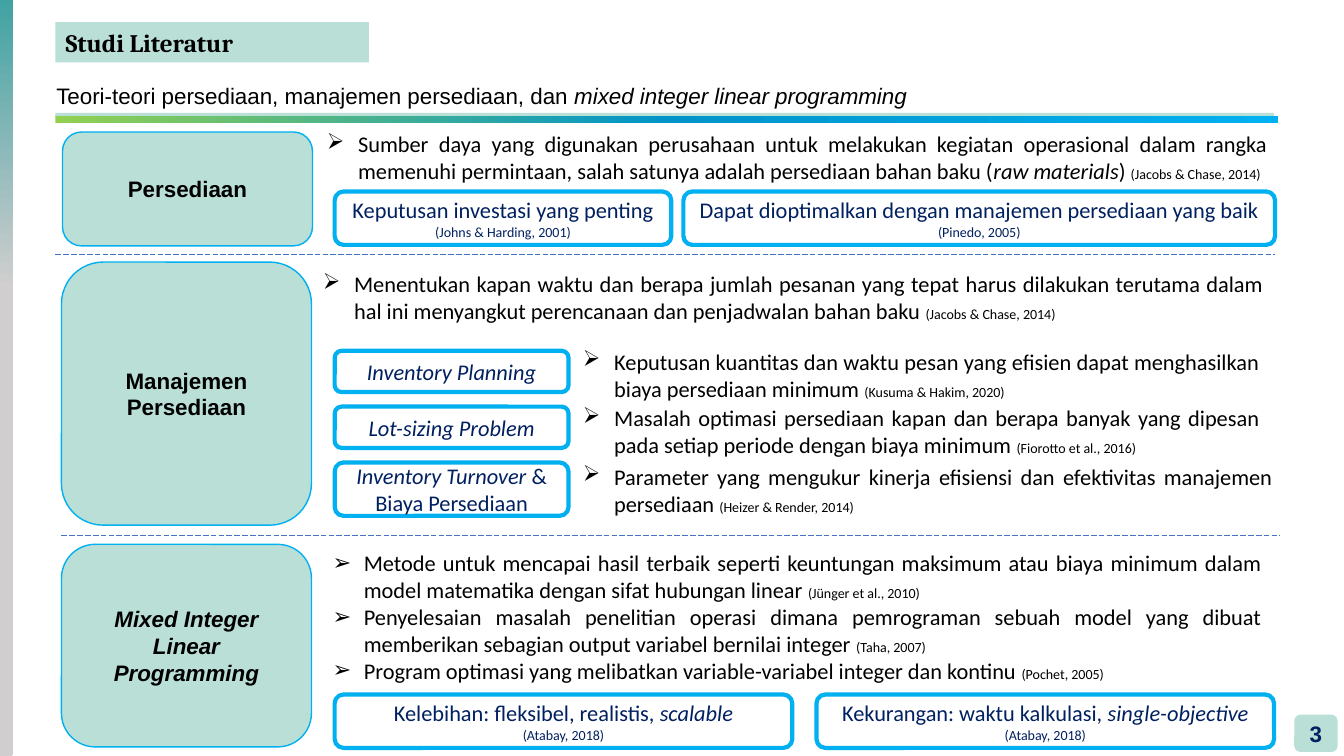
import pptx
import pptx.util
import pptx.dml.color
import pptx.enum.dml
import pptx.enum.shapes
import pptx.enum.text
import pptx.oxml
import pptx.oxml.ns
from dataclasses import dataclass
from lxml import etree

ALIGN = pptx.enum.text.PP_ALIGN
MIDDLE = pptx.enum.text.MSO_ANCHOR.MIDDLE
NS = pptx.oxml.ns.nsdecls("a")

# Grid: cells of a tenth of an inch, 133.33 columns by 75 rows
CELL = pptx.util.Inches(0.1)
COLS, ROWS = 133.33, 75
SIDE = 5.5        # left edge of heading, rule and dividers
PILL = 33.2       # left edge of the outlined pills
GAP = 5.54        # step between topic pills


@dataclass(frozen=True)
class Theme:
    mint: str = "BADFD7"
    sky: str = "00B0F0"
    navy: str = "002060"
    black: str = "000000"
    white: str = "FFFFFF"
    dash: str = "4472C4"
    rule: tuple = ((0, "92D050"), (50, "0094CA"), (100, "00B0F0"))
    edge: tuple = ((0, "40A2A2"), (38, "D0CECE"))
    head: int = 18
    text: int = 16
    cite: int = 10
    serif: str = "Cambria"
    sans: str = "Arial"
    body: str = "Calibri"


T = Theme()


def cells(*nums):
    return [round(n * CELL) for n in nums]


def color(code):
    return pptx.dml.color.RGBColor.from_string(code)


def place(shape, box):
    shape.left, shape.top, shape.width, shape.height = cells(*box)


# Text: a run is (words, marks) with marks i = italic, b = bold, c = citation
def write(para, runs, face, tint, size=T.text):
    for words, marks in runs:
        run = para.add_run()
        run.text = words
        font = run.font
        font.name = face
        font.size = pptx.util.Pt(T.cite if "c" in marks else size)
        font.bold = "b" in marks
        font.italic = "i" in marks
        font.color.rgb = color(tint)


def fill_text(frame, paras, face, tint, align=ALIGN.CENTER):
    frame.word_wrap = True
    frame.vertical_anchor = MIDDLE
    for num, runs in enumerate(paras):
        para = frame.add_paragraph() if num else frame.paragraphs[0]
        para.alignment = align
        write(para, runs, face, tint)


def fill_list(frame, items):
    frame.word_wrap = True
    frame.auto_size = pptx.enum.text.MSO_AUTO_SIZE.NONE
    for num, runs in enumerate(items):
        para = frame.add_paragraph() if num else frame.paragraphs[0]
        props = para._p.get_or_add_pPr()
        props.set("marL", str(round(3.1 * CELL)))
        props.set("indent", str(round(-3.1 * CELL)))
        props.append(pptx.oxml.parse_xml(f'<a:buChar {NS} char="➢"/>'))
        para.alignment = ALIGN.JUSTIFY
        para.space_before = pptx.util.Pt(0)
        write(para, runs, T.body, T.black)


# Shapes
def panel(slide, box, tint, line=None, width=1, kind="ROUNDED_RECTANGLE"):
    shape = slide.shapes.add_shape(
        getattr(pptx.enum.shapes.MSO_SHAPE, kind), *cells(*box))
    shape.shadow.inherit = False
    shape.fill.solid()
    shape.fill.fore_color.rgb = color(tint)
    if line:
        shape.line.color.rgb = color(line)
        shape.line.width = pptx.util.Pt(width)
    else:
        shape.line.fill.background()
    return shape


def blend(slide, box, stops, angle, kind):
    shape = panel(slide, box, stops[0][1], kind=kind)
    marks = "".join(f'<a:gs pos="{pos * 1000}"><a:srgbClr val="{tint}"/></a:gs>'
                    for pos, tint in stops)
    grad = pptx.oxml.parse_xml(
        f'<a:gradFill {NS} rotWithShape="1"><a:gsLst>{marks}</a:gsLst>'
        f'<a:lin ang="{angle * 60000}" scaled="0"/></a:gradFill>')
    props = shape._element.spPr
    props.replace(props.find(pptx.oxml.ns.qn("a:solidFill")), grad)


def label(slide, top, high, words, marks="b", left=6.1):
    shape = panel(slide, (left, top, 24.8, high), T.mint, T.sky)
    fill_text(shape.text_frame, [[(words, marks)]], T.sans, T.black)


def pill(slide, left, top, wide, high, *paras):
    shape = panel(slide, (left, top, wide, high), T.white, T.sky, 3)
    fill_text(shape.text_frame, paras, T.body, T.navy)


def point(slide, left, top, wide, *runs):
    box = slide.shapes.add_textbox(*cells(left, top, wide, 6.4))
    fill_list(box.text_frame, [runs])


def divide(slide, left, top, wide):
    x, y, end = cells(left, top, left + wide)
    line = slide.shapes.add_connector(
        pptx.enum.shapes.MSO_CONNECTOR.STRAIGHT, x, y, end, y)
    line.line.color.rgb = color(T.dash)
    line.line.width = pptx.util.Pt(0.5)
    line.line.dash_style = pptx.enum.dml.MSO_LINE.LONG_DASH
    etree.SubElement(line._element.spPr, pptx.oxml.ns.qn("a:effectLst"))


# Slide parts
def header(slide):
    title = slide.shapes.title
    place(title, (SIDE, 2.2, 31.1, 4))
    title._element.spPr.append(pptx.oxml.parse_xml(
        f'<a:prstGeom {NS} prst="roundRect"><a:avLst/></a:prstGeom>'))
    title.fill.solid()
    title.fill.fore_color.rgb = color(T.mint)
    frame = title.text_frame
    frame.auto_size = pptx.enum.text.MSO_AUTO_SIZE.NONE
    frame.vertical_anchor = MIDDLE
    frame.paragraphs[0].alignment = ALIGN.LEFT
    write(frame.paragraphs[0], [("Studi Literatur", "b")],
          T.serif, T.black, T.head)

    box = slide.shapes.add_textbox(*cells(4.6, 8, 126.1, 4))
    box.text_frame.word_wrap = True
    lead = box.text_frame.paragraphs[0]
    lead.line_spacing = 0.9
    write(lead, [("Teori-teori persediaan, manajemen persediaan, dan ", ""),
                 ("mixed integer linear programming", "i")], T.sans, T.black)
    panel(slide, (SIDE, 11.2, 120.9, 0.5), T.mint)
    blend(slide, (SIDE, 11.5, 121.3, 0.7), T.rule, 0, "RECTANGLE")
    blend(slide, (-0.2, -0.2, 1.5, 75.2), T.edge, 90, "ROUNDED_RECTANGLE")
    page = panel(slide, (128.4, 70.9, 4.3, 3.7), T.mint)
    fill_text(page.text_frame, [[("3", "b")]], T.sans, T.navy)


def stock(slide):
    label(slide, 13.1, 11.3, "Persediaan", left=6.2)
    point(slide, 31.45, 12.45, 95.3,
          ("Sumber daya yang digunakan perusahaan untuk melakukan kegiatan operasional dalam rangka memenuhi permintaan, salah satunya adalah persediaan bahan baku (", ""),
          ("raw materials", "i"), (") ", ""), ("(Jacobs & Chase, 2014)", "c"))
    pill(slide, PILL, 19, 33.4, 5.3, [("Keputusan investasi yang penting", "")],
         [("(Johns & Harding, 2001)", "c")])
    pill(slide, 67.8, 19, 58.7, 5.3,
         [("Dapat dioptimalkan dengan manajemen persediaan yang baik", "")],
         [("(Pinedo, 2005)", "c")])
    divide(slide, SIDE, 25.2, 121)


def manage(slide):
    label(slide, 26, 26.1, "Manajemen Persediaan")
    point(slide, 31.05, 26.35, 95.3,
          ("Menentukan kapan waktu dan berapa jumlah pesanan yang tepat harus dilakukan terutama dalam hal ini menyangkut perencanaan dan penjadwalan bahan baku ", ""),
          ("(Jacobs & Chase, 2014)", "c"))
    topics = [
        ([("Inventory Planning", "i")], 4.1, 34.05, 69.1,
         "Keputusan kuantitas dan waktu pesan yang efisien dapat menghasilkan biaya persediaan minimum ",
         "(Kusuma & Hakim, 2020)"),
        ([("Lot-sizing Problem", "i")], 4.1, 39.65, 69.1,
         "Masalah optimasi persediaan kapan dan berapa banyak yang dipesan pada setiap periode dengan biaya minimum ",
         "(Fiorotto et al., 2016)"),
        ([("Inventory Turnover ", "i"), ("& Biaya Persediaan", "")], 5.3, 45.45, 70.4,
         "Parameter yang mengukur kinerja efisiensi dan efektivitas manajemen persediaan ",
         "(Heizer & Render, 2014)"),
    ]
    for row, (name, high, top, wide, words, cite) in enumerate(topics):
        pill(slide, PILL, 34.8 + row * GAP, 23.2, high, name)
        point(slide, 56.85, top, wide, (words, ""), (cite, "c"))
    divide(slide, 6.1, 53.1, 120.9)


def model(slide):
    label(slide, 54, 20.1, "Mixed Integer Linear Programming", "bi")
    body = slide.placeholders[1]
    place(body, (32, 54, 94.2, 17.2))
    facts = [
        ("Metode untuk mencapai hasil terbaik seperti keuntungan maksimum atau biaya minimum dalam model matematika dengan sifat hubungan linear ", "(Jünger et al., 2010)"),
        ("Penyelesaian masalah penelitian operasi dimana pemrograman sebuah model yang dibuat memberikan sebagian output variabel bernilai integer ", "(Taha, 2007)"),
        ("Program optimasi yang melibatkan variable-variabel integer dan kontinu ", "(Pochet, 2005)"),
    ]
    fill_list(body.text_frame, [[(words, ""), (cite, "c")] for words, cite in facts])
    sides = [("Kelebihan: fleksibel, realistis, ", "scalable"),
             ("Kekurangan: waktu kalkulasi, ", "single-objective")]
    for col, (words, trait) in enumerate(sides):
        pill(slide, PILL + col * 47.8, 68.9, 45.4, 5.3,
             [(words, ""), (trait, "i")], [("(Atabay, 2018)", "c")])


def main():
    deck = pptx.Presentation()
    deck.slide_width, deck.slide_height = cells(COLS, ROWS)
    slide = deck.slides.add_slide(deck.slide_layouts[1])
    for part in (header, stock, manage, model):
        part(slide)
    deck.save("out.pptx")


if __name__ == "__main__":
    main()
